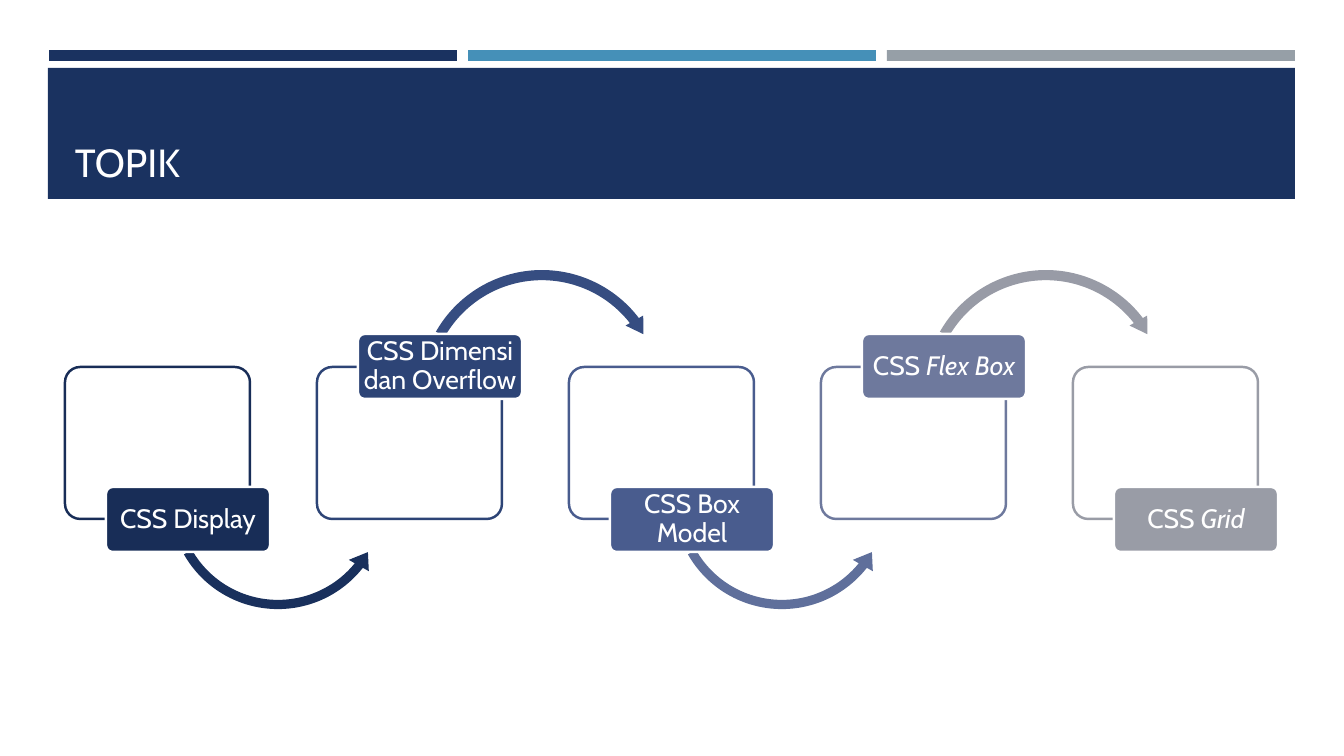
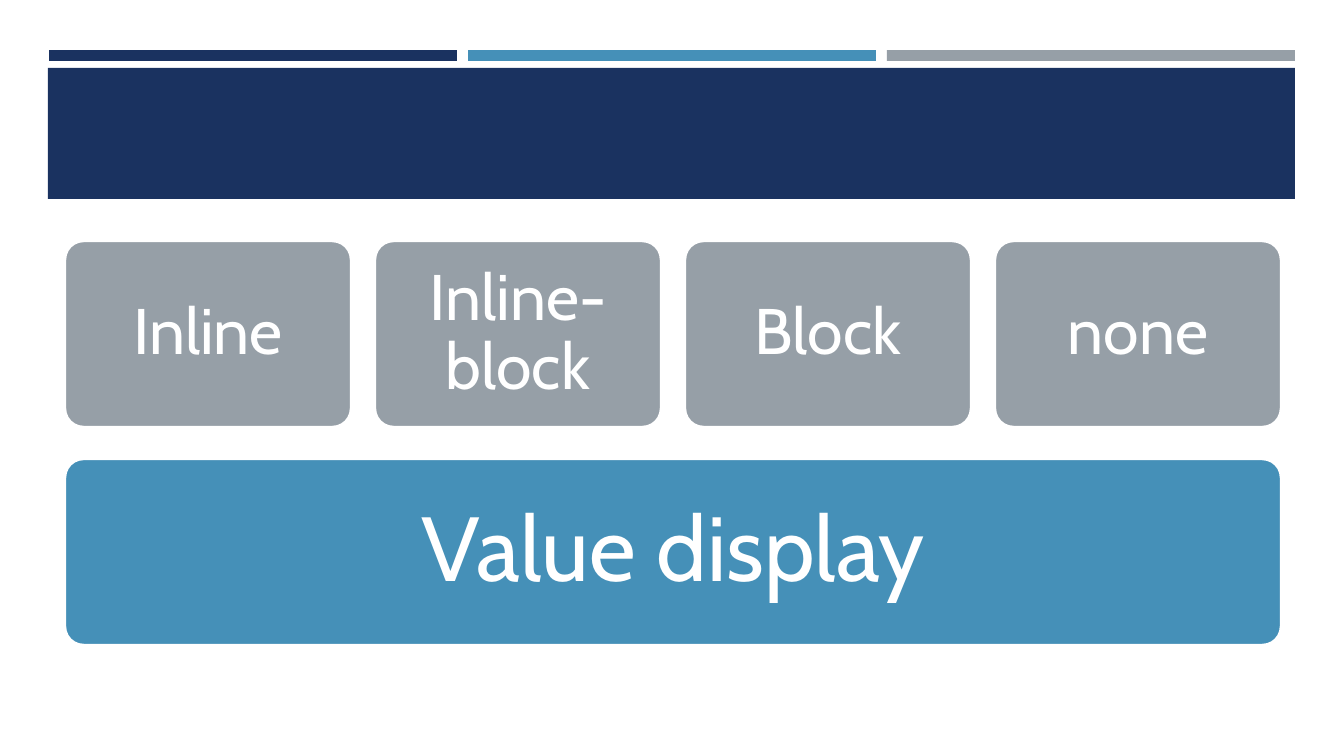
from pptx import Presentation
from pptx.dml.color import RGBColor
from pptx.enum import shapes, text
from pptx.util import Emu, Pt

EMU_PER_PX = 12192000 / 1344
FONT = "Cabin"

WHITE = RGBColor(0xFF, 0xFF, 0xFF)
NAVY = RGBColor(0x1A, 0x32, 0x60)
BLUE = RGBColor(0x45, 0x90, 0xB8)
GREY = RGBColor(0x96, 0x9F, 0xA7)
LINE_PT = 1.75

# Plain part, italic part, topic colour, colour of the arrow to the next topic
TOPICS = [
    ("CSS Display", "", RGBColor(0x18, 0x2D, 0x57), RGBColor(0x19, 0x30, 0x5C)),
    ("CSS Dimensi dan Overflow", "", RGBColor(0x2D, 0x44, 0x76), RGBColor(0x36, 0x4D, 0x81)),
    ("CSS Box Model", "", RGBColor(0x49, 0x5C, 0x8E), RGBColor(0x5F, 0x6F, 0x9B)),
    ("CSS ", "Flex Box", RGBColor(0x6E, 0x79, 0x9D), RGBColor(0x98, 0x9B, 0xA6)),
    ("CSS ", "Grid", RGBColor(0x99, 0x9C, 0xA6), None),
]
DISPLAY_VALUES = ["Inline", "Inline-block", "Block", "none"]
DISPLAY_HEADING = "Value display"

CONTENT_LEFT, CONTENT_WIDTH = 65, 1216

STRIPES = [NAVY, BLUE, GREY]
STRIPE_LEFT, STRIPE_WIDTH, STRIPE_STEP = 49, 408, 419

TOPIC_STEP = 252
FRAME_TOP, FRAME_WIDTH, FRAME_HEIGHT = 367, 185, 152
LABEL_SHIFT, LABEL_WIDTH, LABEL_HEIGHT = 41, 164, 65
ARROW_SHIFT = 98

# Topics take turns: label at the bottom of the frame, then at the top
TURNS = [
    dict(label_top=487, arrow=shapes.MSO_SHAPE.LEFT_CIRCULAR_ARROW, arrow_top=386,
         arrow_size=230, bend=(0.04, 5.39, 23.15, 90.24, 0.05)),
    dict(label_top=334, arrow=shapes.MSO_SHAPE.CIRCULAR_ARROW, arrow_top=265,
         arrow_size=254, bend=(0.04, 4.84, 193.4, 125.76, 0.04)),
]

CARD_GAP, CARD_TOP, CARD_HEIGHT = 24, 241, 186
HEADING_TOP = 459


def px(length):
    return Emu(round(length * EMU_PER_PX))


def add_part(slide, kind, box, fill, line=None, adjustments=()):
    part = slide.shapes.add_shape(kind, *map(px, box))
    part.shadow.inherit = False
    part.fill.solid()
    part.fill.fore_color.rgb = fill
    if line is None:
        part.line.fill.background()
    else:
        part.line.color.rgb = line
        part.line.width = Pt(LINE_PT)
    for index, value in enumerate(adjustments):
        part.adjustments[index] = value
    return part


def add_rounded(slide, box, fill, line=WHITE):
    return add_part(slide, shapes.MSO_SHAPE.ROUNDED_RECTANGLE, box, fill, line, [0.1])


def write_centred(part, size, inset, plain, italic=""):
    frame = part.text_frame
    frame.word_wrap = True
    frame.vertical_anchor = text.MSO_ANCHOR.MIDDLE
    frame.margin_left = frame.margin_right = px(inset)
    frame.margin_top = frame.margin_bottom = px(inset)
    paragraph = frame.paragraphs[0]
    paragraph.alignment = text.PP_ALIGN.CENTER
    paragraph.line_spacing = 0.9
    set_font(paragraph, size)
    paragraph.add_run().text = plain
    if italic:
        run = paragraph.add_run()
        run.text = italic
        run.font.italic = True


def set_font(paragraph, size):
    paragraph.font.name = FONT
    paragraph.font.size = Pt(size)
    paragraph.font.color.rgb = WHITE


def add_banded_slide(deck, title=""):
    slide = deck.slides.add_slide(deck.slide_layouts[6])
    rectangle = shapes.MSO_SHAPE.RECTANGLE
    for index, colour in enumerate(STRIPES):
        left = STRIPE_LEFT + index * STRIPE_STEP
        add_part(slide, rectangle, (left, 50, STRIPE_WIDTH, 11), colour)
    add_part(slide, rectangle, (48, 68, 1247, 131), NAVY)
    if title:
        heading = slide.shapes.add_textbox(*map(px, (CONTENT_LEFT, 78, CONTENT_WIDTH, 112)))
        frame = heading.text_frame
        frame.word_wrap = True
        frame.vertical_anchor = text.MSO_ANCHOR.BOTTOM
        frame.text = title
        set_font(frame.paragraphs[0], 28)
    return slide


def add_topics(slide):
    for index, (plain, italic, colour, arrow_colour) in enumerate(TOPICS):
        turn = TURNS[index % 2]
        left = CONTENT_LEFT + index * TOPIC_STEP
        add_rounded(slide, (left, FRAME_TOP, FRAME_WIDTH, FRAME_HEIGHT), WHITE, colour)
        if arrow_colour is not None:
            size = turn["arrow_size"]
            add_part(slide, turn["arrow"], (left + ARROW_SHIFT, turn["arrow_top"], size, size),
                     arrow_colour, adjustments=turn["bend"])
        label = add_rounded(
            slide, (left + LABEL_SHIFT, turn["label_top"], LABEL_WIDTH, LABEL_HEIGHT), colour)
        write_centred(label, 19, 3, plain, italic)


def add_display_values(slide):
    heading = add_rounded(slide, (CONTENT_LEFT, HEADING_TOP, CONTENT_WIDTH, CARD_HEIGHT), BLUE)
    write_centred(heading, 65, 27, DISPLAY_HEADING)
    step = (CONTENT_WIDTH + CARD_GAP) / len(DISPLAY_VALUES)
    for index, value in enumerate(DISPLAY_VALUES):
        left = CONTENT_LEFT + index * step
        card = add_rounded(slide, (left, CARD_TOP, step - CARD_GAP, CARD_HEIGHT), GREY)
        write_centred(card, 46, 19, value)


def main():
    deck = Presentation()
    deck.slide_width, deck.slide_height = px(1344), px(756)
    add_topics(add_banded_slide(deck, "TOPIK"))
    add_display_values(add_banded_slide(deck))
    deck.save("out.pptx")


if __name__ == "__main__":
    main()
